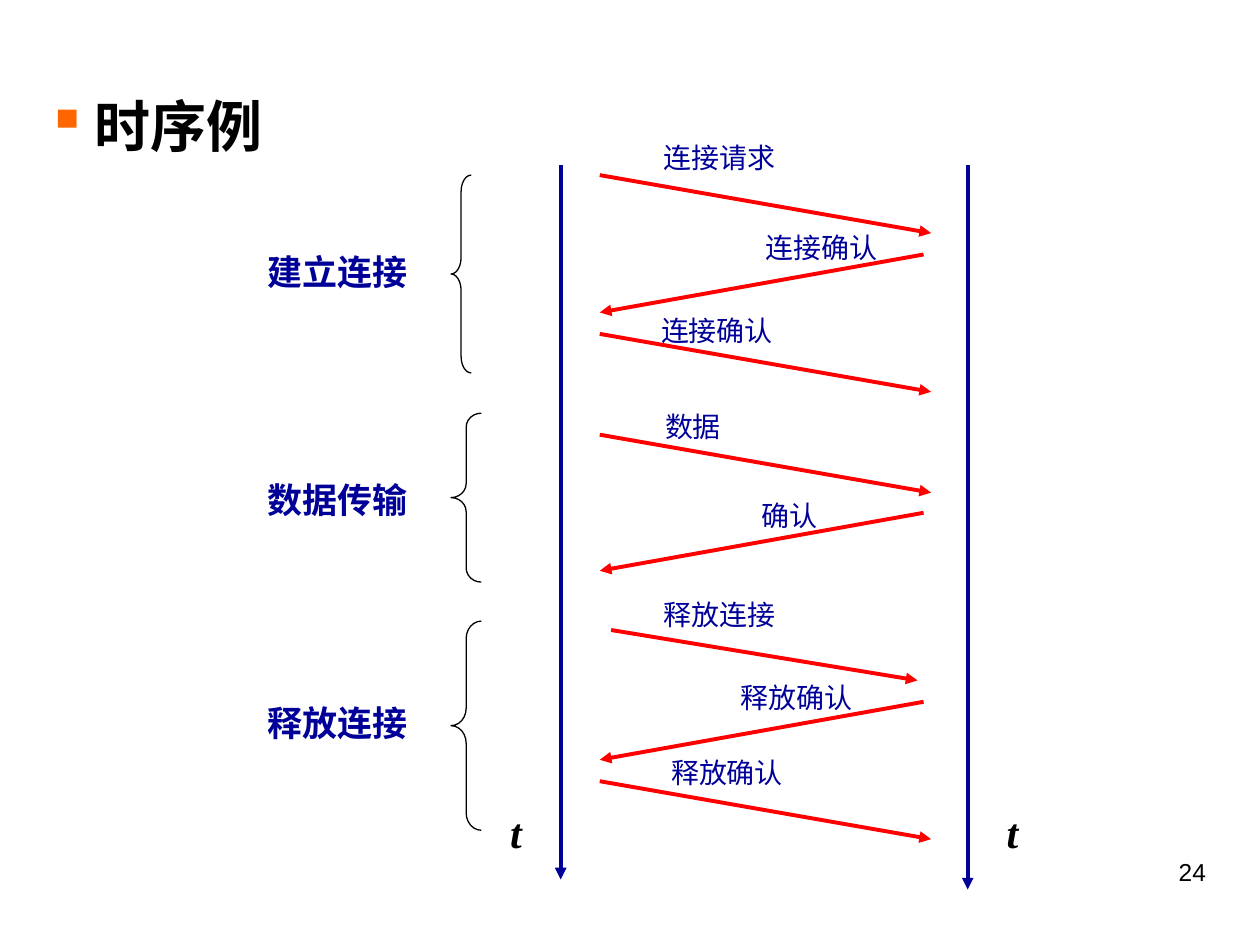
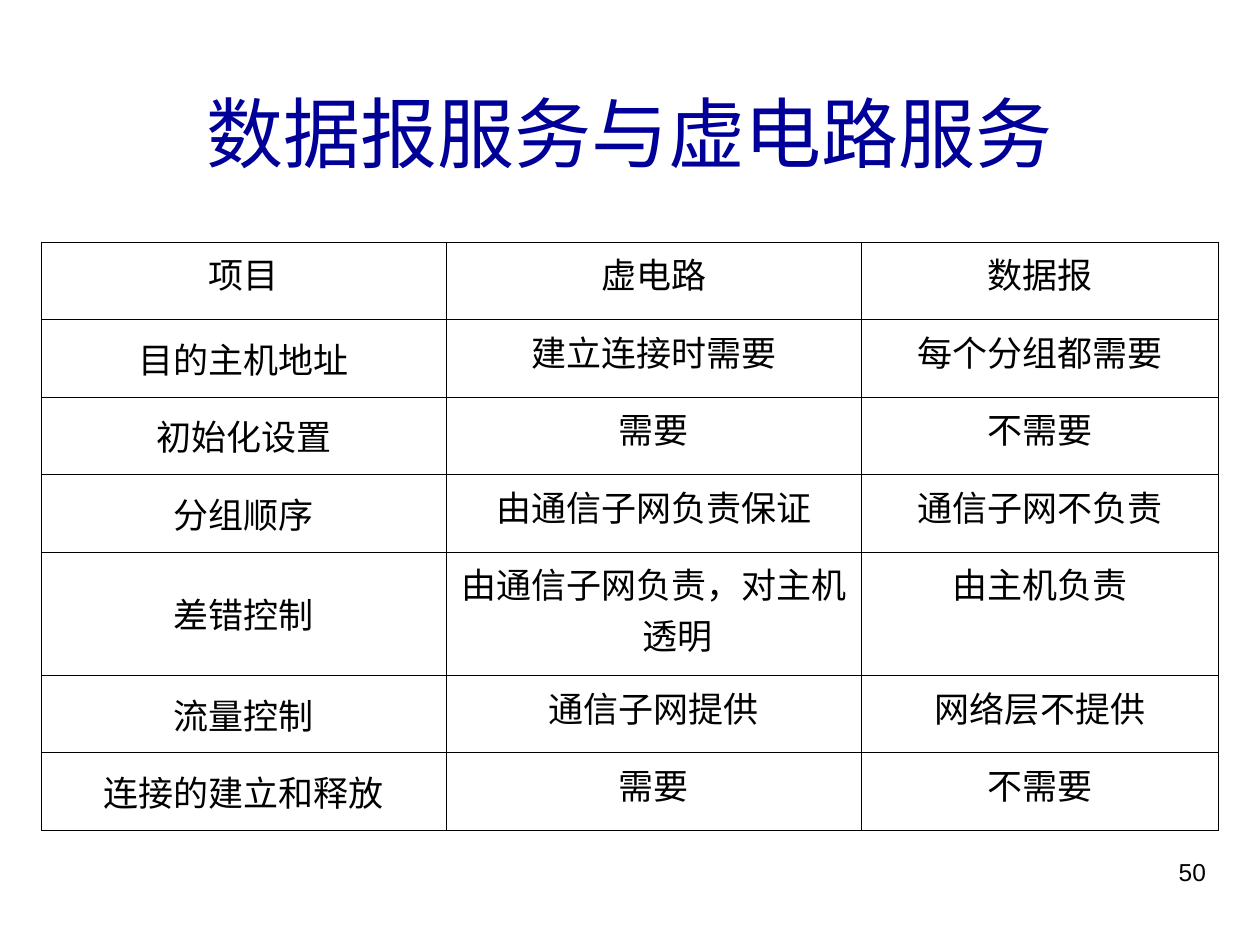
from collections import namedtuple

from lxml import etree
from pptx import Presentation
from pptx.dml.color import RGBColor
from pptx.enum import shapes, text
from pptx.oxml import ns
from pptx.util import Inches, Pt

# Grid: 100 columns by 75 rows on a 10 x 7.5 inch slide
COLUMNS, ROWS, CELL = 100, 75, 0.1

NAVY = RGBColor(0x00, 0x00, 0x99)
RED = RGBColor(0xFF, 0x00, 0x00)
ORANGE = RGBColor(0xFF, 0x66, 0x00)
BLACK = RGBColor(0x00, 0x00, 0x00)
CHINESE_FONT = "Noto Sans CJK SC"
HANGING = 3.8

LABEL = dict(name="Comic Neue", size=Pt(16), color=NAVY)
PHASE = {**LABEL, "size": Pt(20), "bold": True}
AXIS = dict(name="Times New Roman", size=Pt(24), color=BLACK, bold=True, italic=True)
HEADING = dict(name="Arial", size=Pt(32), color=BLACK, bold=True)
TITLE = dict(name="Arial", size=Pt(44), color=NAVY)
NUMBER = dict(name="Arial", size=Pt(14), color=BLACK)
BODY = dict(name=CHINESE_FONT, size=Pt(20), color=BLACK)

Box = namedtuple("Box", "left top width height")

# Label, arrow top, rightward, label left, label top, label width, arrow inset
MESSAGES = [
    ("连接请求", 3.2, True, 31.5, 0, 11, 0),
    ("连接确认", 9.5, False, 39.4, 7.1, 11.4, 0),
    ("连接确认", 15.8, True, 31.1, 13.7, 11.4, 0),
    ("数据", 23.8, True, 30.4, 21.3, 9, 0),
    ("确认", 30, False, 38.6, 28.4, 7.9, 0),
    ("释放连接", 39.3, True, 31.5, 36.2, 11, 0.9),
    ("释放确认", 45, False, 37.4, 42.8, 11.4, 0),
    ("释放确认", 51.3, True, 31.9, 48.8, 11.4, 0),
]
# Label, brace top, brace width, brace height, label top
PHASES = [
    ("建立连接", 3.2, 1.6, 15.7, 8.7),
    ("数据传输", 22.1, 2.4, 13.4, 26.8),
    ("释放连接", 38.6, 2.4, 16.6, 44.5),
]
COMPARISON = [
    ("项目", "虚电路", "数据报"),
    ("目的主机地址", "建立连接时需要", "每个分组都需要"),
    ("初始化设置", "需要", "不需要"),
    ("分组顺序", "由通信子网负责保证", "通信子网不负责"),
    ("差错控制", "由通信子网负责，对主机透明", "由主机负责"),
    ("流量控制", "通信子网提供", "网络层不提供"),
    ("连接的建立和释放", "需要", "不需要"),
]


def grid(cells):
    return Inches(cells * CELL)


def inside(box, left, top, width, height):
    return Box(box.left + left, box.top + top, width, height)


def add_xml(parent, tag, **attributes):
    return etree.SubElement(parent, ns.qn(tag), attributes)


def write(para, words, style, align=text.PP_ALIGN.CENTER):
    para.alignment = align
    span = para.add_run()
    span.text = words
    for name, value in style.items():
        if name == "color":
            span.font.color.rgb = value
        else:
            setattr(span.font, name, value)
    add_xml(span.font._element, "a:ea", typeface=CHINESE_FONT)


def set_hanging(para):
    properties = para._p.get_or_add_pPr()
    properties.set("marL", str(grid(HANGING)))
    properties.set("indent", str(-grid(HANGING)))
    return properties


def add_words(page, box, words, style, align=text.PP_ALIGN.CENTER,
              anchor=text.MSO_ANCHOR.TOP, wrap=False):
    frame = page.shapes.add_textbox(*map(grid, box)).text_frame
    frame.word_wrap = wrap
    frame.vertical_anchor = anchor
    write(frame.paragraphs[0], words, style, align)
    return frame.paragraphs[0]


def add_arrow(page, box, start, end, color):
    points = [grid(box[i] + point[i]) for point in (start, end) for i in (0, 1)]
    arrow = page.shapes.add_connector(shapes.MSO_CONNECTOR.STRAIGHT, *points)
    arrow.line.color.rgb = color
    arrow.line.width = Pt(2.25)
    add_xml(arrow.line._get_or_add_ln(), "a:tailEnd", type="triangle")
    add_xml(arrow._element.spPr, "a:effectLst")


def add_page(deck, number):
    page = deck.slides.add_slide(deck.slide_layouts[6])
    add_words(page, Box(71.7, 67.5, 25, 5.2), str(number), NUMBER,
              text.PP_ALIGN.RIGHT, wrap=True)
    return page


def add_heading(page, box, words):
    para = add_words(page, box, words, HEADING, text.PP_ALIGN.LEFT, wrap=True)
    properties = set_hanging(para)
    color = add_xml(properties, "a:buClr")
    add_xml(color, "a:srgbClr", val=str(ORANGE))
    add_xml(properties, "a:buChar", char="▪")


def add_phases(page, box):
    for label, top, width, height, label_top in PHASES:
        place = inside(box, 15.7, top, width, height)
        brace = page.shapes.add_shape(shapes.MSO_SHAPE.LEFT_BRACE, *map(grid, place))
        brace.shadow.inherit = False
        brace.fill.background()
        brace.line.color.rgb = BLACK
        brace.line.width = Pt(0.75)
        brace.adjustments[0] = height / 12 / width
        add_words(page, inside(box, 0, label_top, 13.4, 4.4), label, PHASE)


def add_sequence(page, box):
    # Time axes
    for axis, bottom, letter in ((24.4, 59.1, 18.1), (56.7, 59.9, 57.5)):
        add_arrow(page, box, (axis, 2.4), (axis, bottom), NAVY)
        add_words(page, inside(box, letter, 52.8, 5.5, 5), "t", AXIS)

    # Messages between the axes
    for label, top, rightward, left, label_top, width, inset in MESSAGES:
        near, far = 27.5 + inset, 53.8 - 1.2 * inset
        start, end = (near, far) if rightward else (53.2, near)
        drop = 4.6 - 0.6 * (inset > 0)
        add_arrow(page, box, (start, top), (end, top + drop), RED)
        add_words(page, inside(box, left, label_top, width, 3.7), label, LABEL)


def add_comparison(page, box):
    table = page.shapes.add_table(len(COMPARISON), 3, *map(grid, box)).table
    table.first_row = table.horz_banding = False
    for column, width in zip(table.columns, (32.1, 33, 28.3)):
        column.width = grid(width)
    for i, (row, entries) in enumerate(zip(table.rows, COMPARISON)):
        row.height = grid(9.8 if entries[0] == "差错控制" else 6.15)
        for j, (cell, words) in enumerate(zip(row.cells, entries)):
            para = cell.text_frame.paragraphs[0]
            write(para, words, BODY)
            set_hanging(para)
            named = i > 0 and j == 0
            cell.vertical_anchor = text.MSO_ANCHOR.MIDDLE if named else text.MSO_ANCHOR.TOP
            # Thin black rule on each side
            for side in "LRTB":
                rule = add_xml(cell._tc.get_or_add_tcPr(), f"a:ln{side}", w=str(Pt(0.45)))
                add_xml(add_xml(rule, "a:solidFill"), "a:srgbClr", val=str(BLACK))
            cell.fill.background()


def build_sequence_page(deck):
    page = add_page(deck, 24)
    diagram = Box(20.1, 10.7, 63, 60)
    add_sequence(page, diagram)
    add_heading(page, Box(2.7, 6.8, 21.3, 8.7), "时序例")
    add_phases(page, diagram)


def build_comparison_page(deck):
    page = add_page(deck, 50)
    add_words(page, Box(3.3, 4.2, 93.4, 12.5), "数据报服务与虚电路服务", TITLE,
              anchor=text.MSO_ANCHOR.MIDDLE, wrap=True)
    add_comparison(page, Box(3.3, 19.2, 93.4, 46.7))


def main():
    deck = Presentation()
    deck.slide_width, deck.slide_height = grid(COLUMNS), grid(ROWS)
    build_sequence_page(deck)
    build_comparison_page(deck)
    deck.save("out.pptx")


if __name__ == "__main__":
    main()
